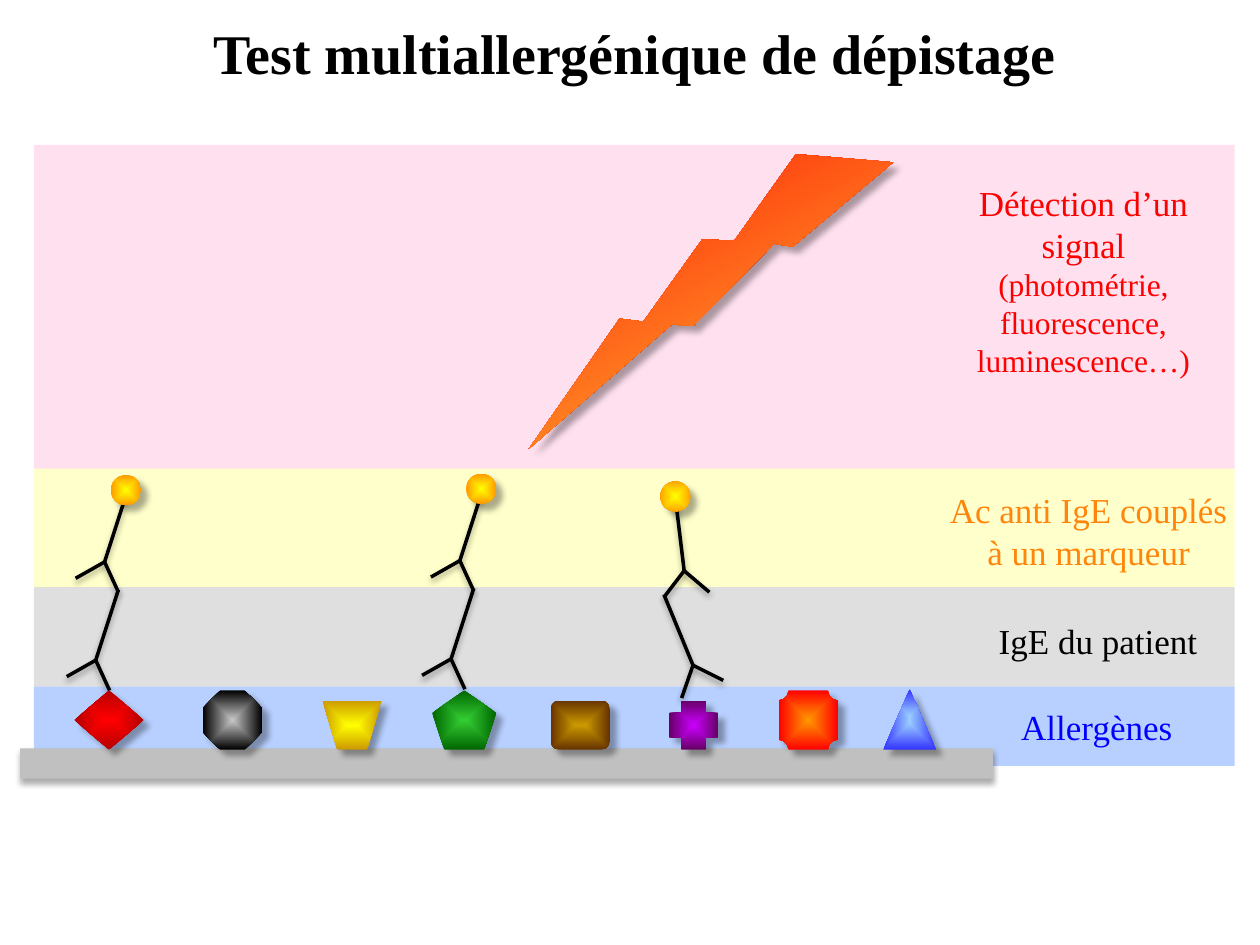
from pptx import Presentation
from pptx.dml.color import RGBColor
from pptx.enum.shapes import MSO_CONNECTOR, MSO_SHAPE
from pptx.enum.text import MSO_ANCHOR, MSO_AUTO_SIZE, PP_ALIGN
from pptx.oxml import parse_xml
from pptx.oxml.ns import nsdecls, qn
from pptx.util import Inches, Pt

LINE = MSO_CONNECTOR.STRAIGHT
RECT, OVAL = MSO_SHAPE.RECTANGLE, MSO_SHAPE.OVAL
BOLT = MSO_SHAPE.LIGHTNING_BOLT
DIAMOND, OCTAGON = MSO_SHAPE.FLOWCHART_DECISION, MSO_SHAPE.OCTAGON
ROUND, CROSS = MSO_SHAPE.ROUNDED_RECTANGLE, MSO_SHAPE.CROSS
PLAQUE, PENTAGON = MSO_SHAPE.PLAQUE, MSO_SHAPE.REGULAR_PENTAGON
TRIANGLE = MSO_SHAPE.ISOSCELES_TRIANGLE
CENTER, TOP = PP_ALIGN.CENTER, MSO_ANCHOR.TOP
GROW = MSO_AUTO_SIZE.SHAPE_TO_FIT_TEXT

FONT = "Times New Roman"
rgb = RGBColor.from_string
BLACK, SILVER = rgb("000000"), rgb("C0C0C0")
PINK, CREAM, SKY = rgb("FF99CC"), rgb("FFFF99"), rgb("6699FF")
RED, ORANGE, BLUE = rgb("FF0000"), rgb("FF850B"), rgb("0000FF")
AMBER, GOLD = rgb("FF9900"), rgb("CC9900")
YELLOW, FLAME = rgb("FFFF00"), rgb("FFCA33")
DARK_RED, GREY = rgb("B60000"), rgb("C8C8C8")
BROWN, VIOLET, PLUM = rgb("663300"), rgb("CC00FF"), rgb("660066")
GREEN, FOREST = rgb("33CC33"), rgb("006600")
PALE, INDIGO = rgb("99CCFF"), rgb("3333FF")

LOW, SIDE = (2.2, 90), (5, 45)  # shadow distance in points, angle in degrees

# Tail, fork and two arm ends of each antibody, from the tail
LEFT = [(-0.18, 0.56), (-0.41, 0.69), (-0.07, 0.8)]
RIGHT = [(0.23, 0.56), (0.47, 0.68), (0.14, 0.82)]
RIGHT_TOP = [(0.07, 0.58), (0.27, 0.75), (-0.09, 0.79)]


def inches(*nums):
    return [Inches(n) for n in nums]


def shade(shape, shadow):
    dist, angle = shadow
    props = shape.element.spPr
    for old in props.findall(qn("a:effectLst")):
        props.remove(old)
    props.append(parse_xml(
        f'<a:effectLst {nsdecls("a")}><a:outerShdw blurRad="{Pt(3.5)}" '
        f'dist="{Pt(dist)}" dir="{angle * 60000}" algn="ctr" rotWithShape="0">'
        '<a:srgbClr val="000000"><a:alpha val="32000"/></a:srgbClr>'
        '</a:outerShdw></a:effectLst>'))


def plain(shape, color):
    shape.fill.solid()
    shape.fill.fore_color.rgb = color
    shape.line.fill.background()
    shape.shadow.inherit = False


def blend(shape, first, last, linear=False):
    shape.fill.gradient()
    for stop, color in zip(shape.fill.gradient_stops, (first, last)):
        stop.color.rgb = color
    if linear:
        shape.fill.gradient_angle = 0
    else:  # from the centre outwards
        grad = shape.element.spPr.find(qn("a:gradFill"))
        grad.remove(grad.find(qn("a:lin")))
        grad.append(parse_xml(
            f'<a:path {nsdecls("a")} path="shape"><a:fillToRect '
            'l="50000" t="50000" r="50000" b="50000"/></a:path>'))
    shape.line.fill.background()
    shade(shape, SIDE)


def write(shape, runs):
    frame = shape.text_frame
    for name, value in {"word_wrap": True, "auto_size": GROW,
                        "vertical_anchor": TOP}.items():
        setattr(frame, name, value)
    para = frame.paragraphs[0]
    para.alignment = CENTER
    for text, size, bold, color in runs:
        run = para.add_run()
        run.text = text
        for name, value in {"name": FONT, "size": Pt(size), "bold": bold}.items():
            setattr(run.font, name, value)
        run.font.color.rgb = color


def heading(slide, box):
    title = slide.shapes.title
    for name, value in zip(("left", "top", "width", "height"), inches(*box)):
        setattr(title, name, value)
    write(title, [("Test multiallergénique de dépistage", 32, True, BLACK)])


def bands(slide, box):
    left, top, width = box
    for height, color, alpha in [(2.57, PINK, 30), (0.94, CREAM, 50),
                                 (0.79, SILVER, 50), (0.63, SKY, 46)]:
        band = slide.shapes.add_shape(RECT, *inches(left, top, width, height))
        plain(band, color)
        tint = band.element.spPr.find(qn("a:solidFill"))[0]
        tint.append(parse_xml(f'<a:alpha {nsdecls("a")} val="{alpha * 1000}"/>'))
        top += height


def plate(slide, box):
    base = slide.shapes.add_shape(RECT, *inches(*box))
    plain(base, SILVER)
    shade(base, LOW)


def antibody(slide, tail, parts):
    group = slide.shapes.add_group_shape()
    fork, outer, inner = [(tail[0] + x, tail[1] + y) for x, y in parts]
    for start, end in [(tail, fork), (fork, outer), (fork, inner)]:
        arm = group.shapes.add_connector(LINE, *inches(*start, *end))
        arm.line.color.rgb = BLACK
        arm.line.width = Pt(2)
        shade(arm, LOW)


def marker(slide, left, top, turn=0):
    ball = slide.shapes.add_shape(OVAL, *inches(left, top, 0.24, 0.24))
    ball.rotation = turn
    blend(ball, YELLOW, AMBER)


def complexes(slide):
    # IgE below, labelled anti-IgE above
    for x, y in [(0.94, 4.68), (3.76, 4.67)]:
        antibody(slide, (x, y), LEFT)
        antibody(slide, (x + 0.07, y - 0.78), LEFT)
        marker(slide, x - 0.06, y - 0.91)
    antibody(slide, (5.27, 4.72), RIGHT)
    antibody(slide, (5.36, 3.95), RIGHT_TOP)
    marker(slide, 5.24, 3.82, 352.1)


def wedge(slide, box):
    left, top, width, height = box
    pen = slide.shapes.build_freeform(*inches(left, top))
    pen.add_line_segments([inches(left + x, top + y) for x, y in [
        (width / 4, height), (width * 3 / 4, height), (width, 0)]])
    return pen.convert_to_shape()


def allergens(slide, base):
    for kind, left, width, height, first, last in [
            (DIAMOND, 0.59, 0.55, 0.47, RED, DARK_RED),
            (OCTAGON, 1.61, 0.47, 0.47, GREY, BLACK),
            (None, 2.56, 0.47, 0.39, YELLOW, GOLD),
            (PENTAGON, 3.43, 0.51, 0.47, GREEN, FOREST),
            (ROUND, 4.37, 0.47, 0.39, GOLD, BROWN),
            (CROSS, 5.31, 0.39, 0.39, VIOLET, PLUM),
            (PLAQUE, 6.18, 0.47, 0.47, AMBER, RED),
            (TRIANGLE, 7.01, 0.42, 0.48, PALE, INDIGO)]:
        box = left, base - height, width, height
        if kind is None:
            shape = wedge(slide, box)
        else:
            shape = slide.shapes.add_shape(kind, *inches(*box))
        blend(shape, first, last)


def signal(slide, box):
    bolt = slide.shapes.add_shape(BOLT, *inches(*box))
    bolt.rotation = 62
    blend(bolt, RED, FLAME, linear=True)


def labels(slide):
    for box, runs in [
            ((7.48, 1.39, 2.24, 1.67),
             [("Détection d’un signal ", 20, False, RED),
              ("(photométrie, fluorescence, luminescence…)", 18, False, RED)]),
            ((7.44, 3.83, 2.4, 0.77),
             [("Ac anti IgE couplés à un marqueur", 20, False, ORANGE)]),
            ((7.73, 4.87, 1.97, 0.43), [("IgE du patient", 20, False, BLACK)]),
            ((7.76, 5.55, 1.89, 0.43), [("Allergènes", 20, False, BLUE)])]:
        write(slide.shapes.add_textbox(*inches(*box)), runs)


def main():
    deck = Presentation()
    deck.slide_width, deck.slide_height = inches(10, 7.5)
    slide = deck.slides.add_slide(deck.slide_layouts[5])
    heading(slide, (0.59, 0.1, 8.9, 0.63))
    bands(slide, (0.27, 1.15, 9.53))
    plate(slide, (0.16, 5.94, 7.72, 0.24))
    complexes(slide)
    allergens(slide, 5.95)
    signal(slide, (5.01, 0.43, 1.07, 3.62))
    labels(slide)
    deck.save("out.pptx")


if __name__ == "__main__":
    main()
